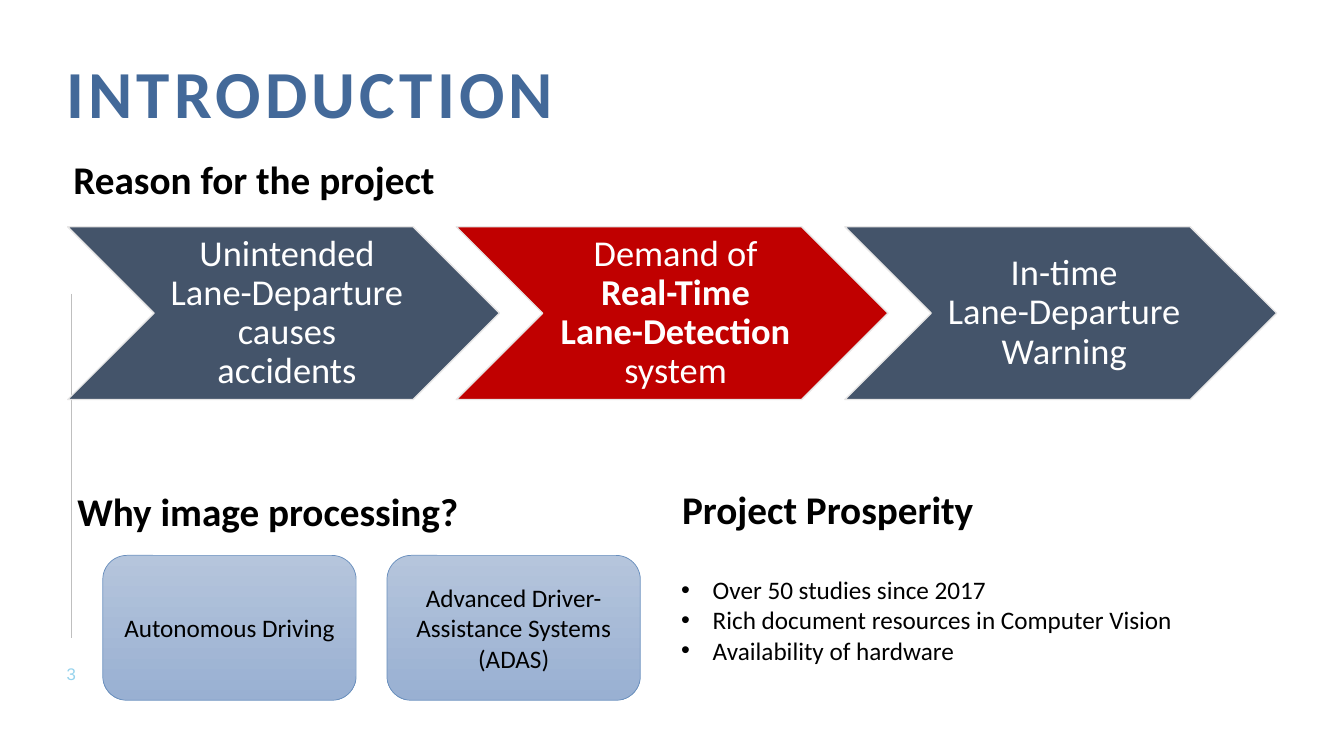
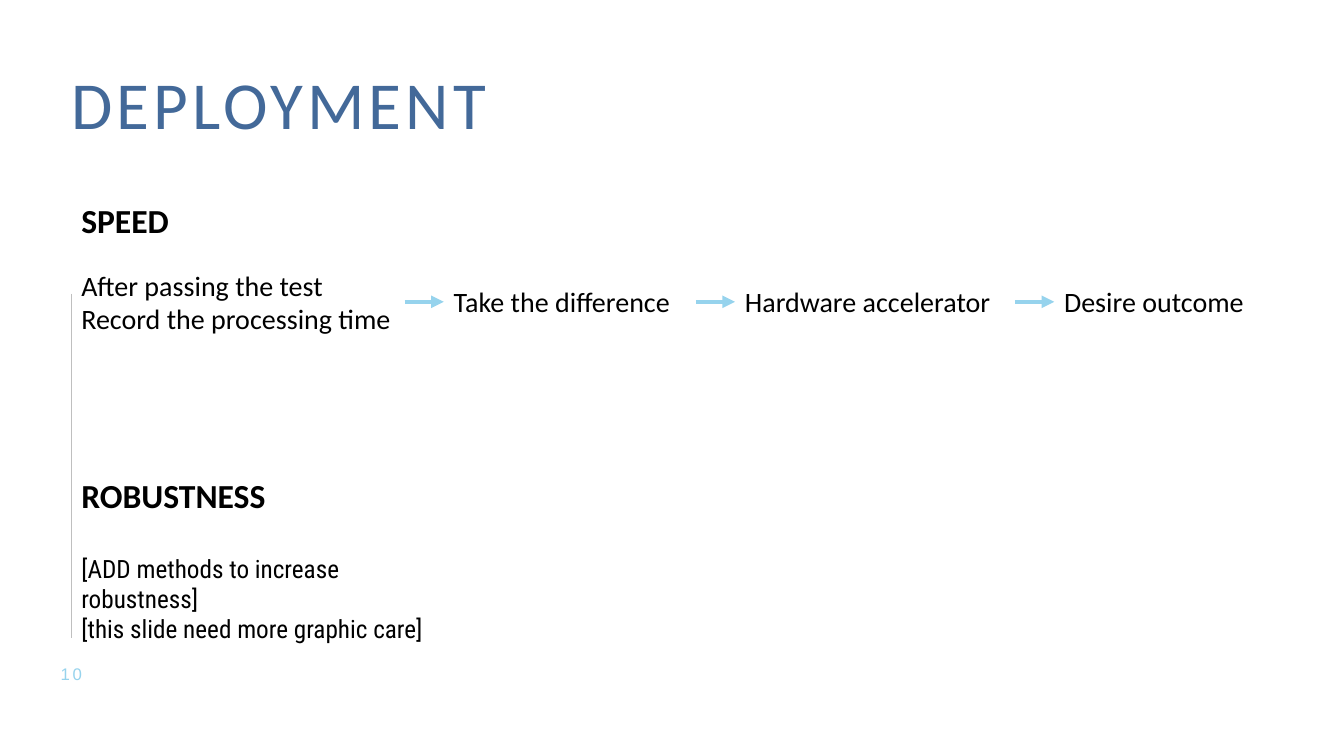
"""Build the introduction and deployment slides of a lane-detection talk."""
from pptx import Presentation
from pptx import util as u
from pptx.dml import color as dml
from pptx.enum import shapes, text
from pptx.oxml import ns, xmlchemy

Pt = u.Pt
FONT = "Calibri"
INK, WHITE = "000000", "FFFFFF"
BLUE, SKY, SLATE, RED = "436999", "96D3ED", "44546A", "C00000"
EDGE, RIM, RULE = "E7E6E6", "688EBD", "BFBFBF"
FADE = ("B5C5DC", "99B0D2")
MID = text.MSO_ANCHOR.MIDDLE
MID_X = text.PP_ALIGN.CENTER


def rgb(code):
    """Turn a hex string into a colour."""
    return dml.RGBColor.from_string(code)


def tag(root, name, **atts):
    """Append a drawing element with attributes to its parent."""
    node = xmlchemy.OxmlElement(name)
    for key, val in atts.items():
        node.set(key, str(val))
    root.append(node)
    return node


def write(shape, paras, size, ink=INK, bold=False, font=FONT, align=None,
          top=text.MSO_ANCHOR.TOP, pad=None, lead=None, space=None, dots=False):
    """Fill a shape with paragraphs, each a list of (words, bold) runs or a string."""
    frame = shape.text_frame
    frame.word_wrap = True
    frame.vertical_anchor = top
    if pad:
        sides = ("margin_left", "margin_top", "margin_right", "margin_bottom")
        for side, gap in zip(sides, pad):
            setattr(frame, side, Pt(gap))
    for i, runs in enumerate(paras):
        para = frame.add_paragraph() if i else frame.paragraphs[0]
        para.alignment = align or text.PP_ALIGN.LEFT
        para.line_spacing = lead
        if dots:
            props = para._p.get_or_add_pPr()
            props.set("marL", str(Pt(22.5)))
            props.set("indent", str(-Pt(22.5)))
            tag(props, "a:buFont", typeface="Arial")
            tag(props, "a:buChar", char="•")
        for words, heavy in [(runs, bold)] if isinstance(runs, str) else runs:
            for j, line in enumerate(words.split("\n")):
                if j:
                    para.add_line_break()
                run = para.add_run()
                run.text = line
                run.font.name, run.font.size = font, Pt(size)
                run.font.bold = heavy
                run.font.color.rgb = rgb(ink)
                if space:
                    run._r.get_or_add_rPr().set("spc", str(space * 100))


def label(slide, box, paras, size, **look):
    """Place a text box and write in it."""
    item = slide.shapes.add_textbox(*map(Pt, box))
    write(item, paras, size, **look)
    return item


def block(slide, kind, box, edge, width):
    """Place an outlined preset shape without a shadow."""
    item = slide.shapes.add_shape(kind, *map(Pt, box))
    item.shadow.inherit = False
    item.line.color.rgb = rgb(edge)
    item.line.width = Pt(width)
    return item


def stroke(slide, ends, ink, width, head=False):
    """Draw a straight line, with an arrowhead if asked."""
    line = slide.shapes.add_connector(shapes.MSO_CONNECTOR.STRAIGHT, *map(Pt, ends))
    line.line.color.rgb = rgb(ink)
    line.line.width = Pt(width)
    props = line._element.spPr
    if head:
        tag(props.find(ns.qn("a:ln")), "a:tailEnd", type="triangle")
    tag(props, "a:effectLst")
    return line


def base(deck, title, left, top, number, bold=False):
    """Add a slide with its side rule, title and number."""
    slide = deck.slides.add_slide(deck.slide_layouts[6])
    stroke(slide, (51, 210, 51, 456), RULE, 0.5)
    label(slide, (left, top, 792, 72), [title], 48, ink=BLUE, bold=bold,
          pad=(0, 0, 0, 0), lead=0.9, space=3)
    label(slide, (33, 474, 36, 14.4), [number], 12, ink=SKY, font="Arial",
          align=MID_X, top=MID, pad=(0, 0, 0, 0), space=2)
    return slide


def chain(slide, box, items):
    """Lay out overlapping chevrons from (fill, runs) pairs."""
    left, top, wide, high = box
    for i, (fill, runs) in enumerate(items):
        spot = (left + i * wide * 0.9, top, wide, high)
        item = block(slide, shapes.MSO_SHAPE.CHEVRON, spot, EDGE, 1)
        item.fill.solid()
        item.fill.fore_color.rgb = rgb(fill)
        write(item, [runs], 26, ink=WHITE, align=MID_X, top=MID,
              pad=(10, 3, 5, 3), lead=0.9)


def cards(slide, box, gap, items):
    """Lay out shaded rounded cards in a row."""
    left, top, wide, high = box
    for i, words in enumerate(items):
        spot = (left + i * (wide + gap), top, wide, high)
        item = block(slide, shapes.MSO_SHAPE.ROUNDED_RECTANGLE, spot, RIM, 0.5)
        item.fill.gradient()
        item.fill.gradient_angle = 270
        for stop, code in zip(item.fill.gradient_stops, FADE):
            stop.color.rgb = rgb(code)
        write(item, [words], 18, align=MID_X, top=MID)


def flow(slide, left, mid, gap, steps):
    """Set text steps in a row about a middle line, joined by arrows."""
    last = None
    for wide, high, paras in steps:
        item = label(slide, (left, mid - high / 2, wide, high), paras, 20)
        if last:
            line = stroke(slide, (left - gap, mid, left, mid), SKY, 3, head=True)
            line.begin_connect(last, 3)
            line.end_connect(item, 1)
        last = item
        left += wide + gap


def intro(deck):
    """Build the introduction slide."""
    slide = base(deck, "INTRODUCTION", 47.5, 43.2, "3", bold=True)
    heads = ((45.4, 107.3, "Reason for the project"),
             (48.2, 344.9, "Why image processing?"),
             (480.2, 343.4, "Project Prosperity"))
    for left, top, words in heads:
        label(slide, (left, top, 366.5, 41), [words], 28, bold=True)
    chain(slide, (48.4, 162, 308.4, 123.4), [
        (SLATE, "Unintended Lane-Departure causes accidents"),
        (RED, [("Demand of ", False), ("Real-Time\nLane-Detection ", True),
               ("system", False)]),
        (SLATE, "In-time\nLane-Departure Warning")])
    cards(slide, (73.4, 396.7, 181, 103.5), 22,
          ["Autonomous Driving", "Advanced Driver-Assistance Systems (ADAS)"])
    label(slide, (479.5, 406.8, 406.8, 72.7),
          ["Over 50 studies since 2017",
           "Rich document resources in Computer Vision",
           "Availability of hardware"], 18, dots=True)


def deploy(deck):
    """Build the deployment slide."""
    slide = base(deck, "DEPLOYMENT", 51, 51, "10")
    for top, words in ((139, "SPEED"), (335.5, "ROBUSTNESS")):
        label(slide, (51, top, 257, 36), [words], 24, bold=True)
    flow(slide, 51, 215.6, 28, [
        (238, 55.4, ["After passing the test", "Record the processing time"]),
        (180, 31.6, ["Take the difference"]),
        (200, 31.6, ["Hardware accelerator"]),
        (180, 31.6, ["Desire outcome"])])
    label(slide, (51, 391.7, 270, 72),
          ["[ADD methods to increase robustness]",
           "[this slide need more graphic care]"], 18, font="Roboto Condensed")


def main():
    """Build and save the deck."""
    deck = Presentation()
    deck.slide_width, deck.slide_height = Pt(960), Pt(540)
    intro(deck)
    deploy(deck)
    deck.save("out.pptx")


if __name__ == "__main__":
    main()
